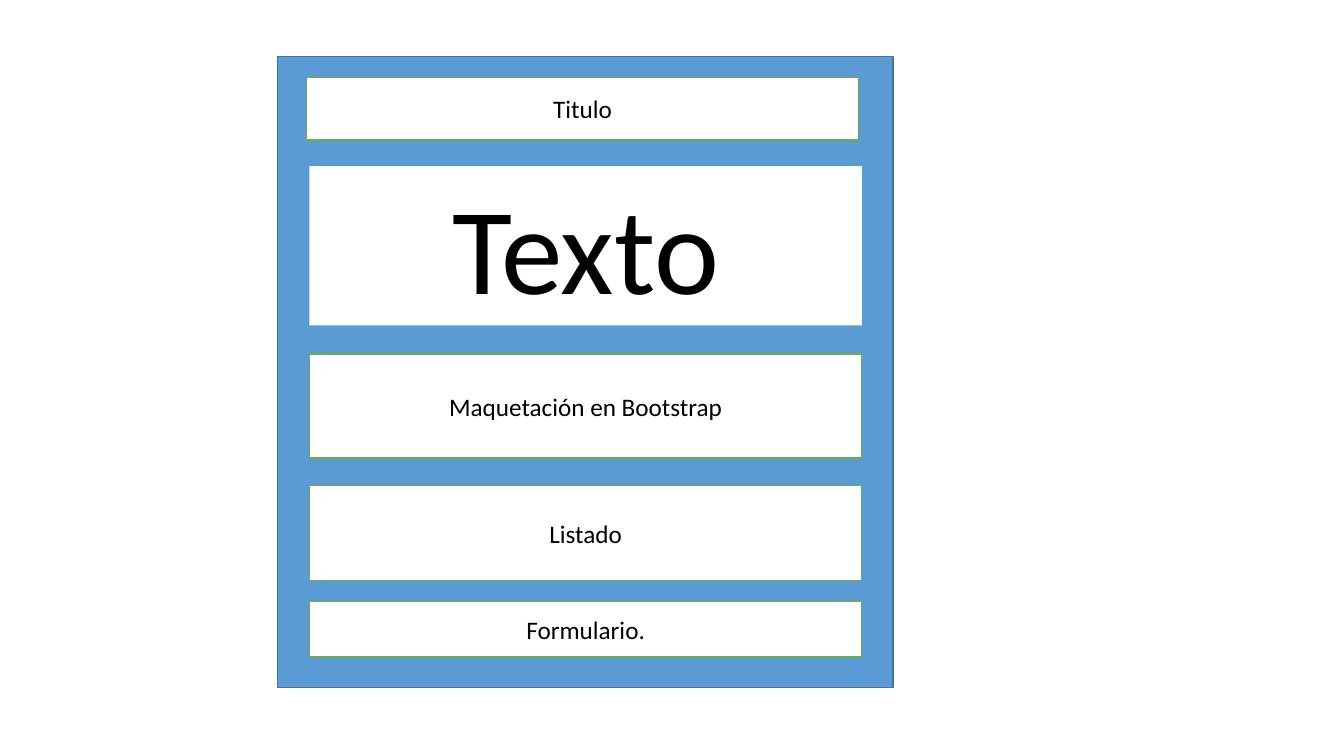
import pptx
import pptx.dml.color
import pptx.enum.shapes
import pptx.enum.text
import pptx.util

Cm = pptx.util.Cm
Pt = pptx.util.Pt
Anchor = pptx.enum.text.MSO_ANCHOR

COLORS = {
    "panel": "5B9BD5",
    "panel_edge": "43739E",
    "block": "FFFFFF",
    "block_edge": "70AD47",
    "text": "000000",
}
BLOCK_LEFT, BLOCK_WIDTH = 7.8, 13.92


def color(name):
    return pptx.dml.color.RGBColor.from_string(COLORS[name])


def write(box, text, size=18, anchor=Anchor.MIDDLE, font="Calibri"):
    """Put one centred line of text into a shape."""
    frame = box.text_frame
    frame.word_wrap = True
    frame.vertical_anchor = anchor
    para = frame.paragraphs[0]
    para.alignment = pptx.enum.text.PP_ALIGN.CENTER
    span = para.add_run()
    span.text = text
    span.font.name = font
    span.font.size = Pt(size)
    span.font.color.rgb = color("text")


class Wireframe:
    """Draws page-layout blocks on one slide."""

    def __init__(self, page):
        self.page = page

    def rectangle(self, left, top, width, height, fill, edge=None):
        box = self.page.shapes.add_shape(
            pptx.enum.shapes.MSO_SHAPE.RECTANGLE,
            Cm(left), Cm(top), Cm(width), Cm(height))
        box.shadow.inherit = False
        box.fill.solid()
        box.fill.fore_color.rgb = color(fill)
        if edge:
            box.line.color.rgb = color(edge)
            box.line.width = Pt(1)
        else:
            box.line.fill.background()
        return box

    def block(self, text, top, height, left=BLOCK_LEFT, edge="block_edge", **style):
        box = self.rectangle(left, top, BLOCK_WIDTH, height, "block", edge)
        write(box, text, **style)


def main():
    deck = pptx.Presentation()
    deck.slide_width, deck.slide_height = Cm(33.87), Cm(19.05)
    wireframe = Wireframe(deck.slides.add_slide(deck.slide_layouts[6]))

    wireframe.rectangle(6.99, 1.42, 15.52, 15.9, "panel", "panel_edge")
    wireframe.block("Titulo", 1.96, 1.57, left=7.72)
    wireframe.block("Texto", 4.19, 4.01, edge=None, size=88, anchor=Anchor.TOP)
    wireframe.block("Maquetación en Bootstrap", 8.92, 2.62)
    wireframe.block("Listado", 12.24, 2.39)
    wireframe.block("Formulario.", 15.16, 1.4)

    deck.save("out.pptx")


if __name__ == "__main__":
    main()
